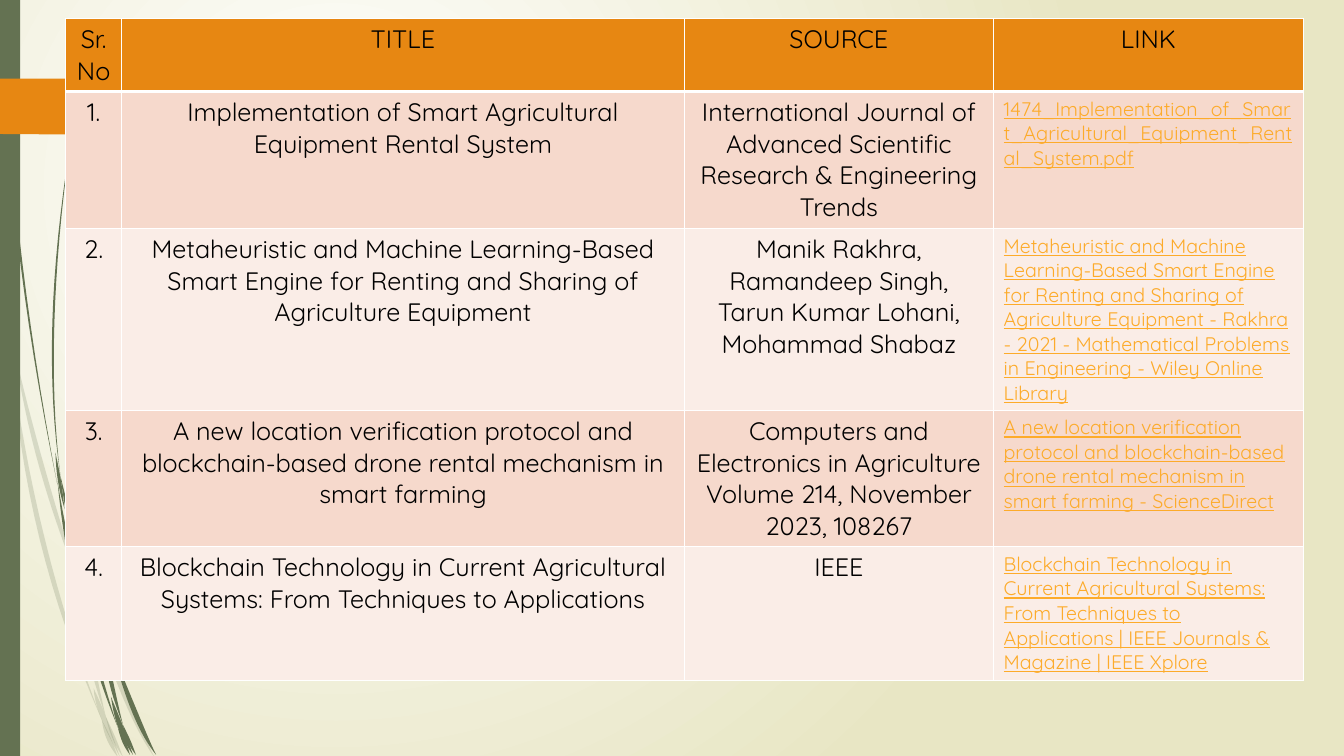
import math

import pptx
import pptx.dml.color
import pptx.enum.shapes
import pptx.enum.text
import pptx.oxml.ns
import pptx.util
from lxml import etree

COLORS = {"leaf": "647252", "marker": "E78712", "odd_row": "F6D9CC", "even_row": "FAEDE7",
          "text": "000000", "link": "FDAB2A", "border": "FFFFFF", "glow": "FFFFFF", "sand": "E8E6C4"}
FONT = "Quicksand"

HEADINGS = ("Sr. No", "TITLE", "SOURCE", "LINK")
PAPERS = [
    ("1.", "Implementation of Smart Agricultural Equipment Rental System",
     "International Journal of Advanced Scientific Research & Engineering Trends",
     "1474_Implementation_of_Smart_Agricultural_Equipment_Rental_System.pdf"),
    ("2.", "Metaheuristic and Machine Learning-Based Smart Engine for Renting and Sharing of Agriculture Equipment",
     "Manik Rakhra, Ramandeep Singh, Tarun Kumar Lohani, Mohammad Shabaz",
     "Metaheuristic and Machine Learning‐Based Smart Engine for Renting and Sharing of Agriculture Equipment"
     " - Rakhra - 2021 - Mathematical Problems in Engineering - Wiley Online Library"),
    ("3.", "A new location verification protocol and blockchain-based drone rental mechanism in smart farming",
     "Computers and Electronics in Agriculture\nVolume 214, November 2023, 108267",
     "A new location verification protocol and blockchain-based drone rental mechanism in smart farming"
     " - ScienceDirect"),
    ("4.", "Blockchain Technology in Current Agricultural Systems: From Techniques to Applications",
     "IEEE",
     "Blockchain Technology in Current Agricultural Systems: From Techniques to Applications"
     " | IEEE Journals & Magazine | IEEE Xplore"),
]
COLUMN_WIDTHS = (1.42, 14.17, 7.8, 7.8)
ROW_HEIGHTS = (1.83, 3.45, 4.58, 3.43, 3.38)
TABLE_LEFT, TABLE_TOP = 1.65, 0.46

CM_PER_UNIT = 2.54
MARKER = [(0, .78), (1.46, .78), (1.74, 1.06), (1.46, 1.34), (0, 1.33)]
PALE_BLADES = [
    ((0, 2.9), (.06, 3.2), (.11, 3.5), .04),
    ((.14, 3.45), (.42, 4.65), (.84, 5.93), .05),
    ((.88, 5.98), (1.25, 6.93), (1.53, 7.51), .05),
    ((1.05, 7.11), (1.13, 7.32), (1.22, 7.51), .03),
    ((.11, 3.5), (.42, 5.35), (1.01, 7.14), .05),
    ((.84, 5.99), (.89, 6.46), (1.05, 7.11), .05),
    ((3.12, 1.53), (1.59, 3.48), (.86, 5.9), .03),
    ((1.01, 7.14), (1.08, 7.33), (1.17, 7.51), .04),
    ((.85, 5.86), (.86, 5.98), (.88, 6.1), .04),
    ((.93, 6.83), (1.02, 7.1), (1.19, 7.51), .05),
]
DARK_BLADES = [
    ((.03, 0), (.18, 2.33), (.57, 4.81), .02),
    ((.6, 4.72), (.78, 5.5), (1.06, 6.4), .05),
    ((1.1, 6.41), (1.34, 7.07), (1.55, 7.49), .05),
    ((.57, 4.77), (.8, 6), (1.17, 7.22), .05),
    ((.7, 1.41), (.53, 3.2), (.6, 4.72), .02),
    ((1.22, 7.19), (1.28, 7.35), (1.35, 7.49), .03),
    ((.55, 4.49), (.59, 4.77), (.64, 5.05), .03),
    ((2.6, 3.44), (1.57, 4.75), (1.08, 6.37), .03),
    ((1.17, 7.22), (1.23, 7.36), (1.29, 7.49), .03),
    ((1.06, 6.45), (1.1, 6.75), (1.22, 7.19), .04),
    ((1.06, 6.31), (1.08, 6.43), (1.11, 6.56), .04),
    ((1.1, 6.91), (1.2, 7.22), (1.32, 7.49), .05),
]


def rgb(name):
    return pptx.dml.color.RGBColor.from_string(COLORS[name])


def paint(shape, color, opacity=100):
    shape.shadow.inherit = False
    shape.line.fill.background()
    shape.fill.solid()
    shape.fill.fore_color.rgb = rgb(color)
    if opacity < 100:
        tint = shape.element.spPr.find(".//" + pptx.oxml.ns.qn("a:srgbClr"))
        etree.SubElement(tint, pptx.oxml.ns.qn("a:alpha"), val=str(opacity * 1000))


def blade_outline(root, middle, tip, width, steps=16):
    left, right = [], []
    for step in range(steps + 1):
        t = step / steps
        weights = ((1 - t) * (1 - 2 * t), 4 * t * (1 - t), t * (2 * t - 1))
        slopes = (4 * t - 3, 4 - 8 * t, 4 * t - 1)
        x, y = (sum(w * p[axis] for w, p in zip(weights, (root, middle, tip))) for axis in (0, 1))
        dx, dy = (sum(s * p[axis] for s, p in zip(slopes, (root, middle, tip))) for axis in (0, 1))
        reach = width / 2 * math.sin(math.pi * t) / math.hypot(dx, dy)
        left.append((x - dy * reach, y + dx * reach))
        right.append((x + dy * reach, y - dx * reach))
    return left + right[-2:0:-1]


def draw_outline(slide, points, color, opacity=100):
    start, *rest = [(pptx.util.Cm(x * CM_PER_UNIT), pptx.util.Cm(y * CM_PER_UNIT)) for x, y in points]
    builder = slide.shapes.build_freeform(*start)
    builder.add_line_segments(rest, close=True)
    paint(builder.convert_to_shape(), color, opacity)


def write(frame, text, size=18, color="text", align=None, underline=False):
    for i, line in enumerate(text.split("\n")):
        paragraph = frame.add_paragraph() if i else frame.paragraphs[0]
        paragraph.alignment = align
        run = paragraph.add_run()
        run.text = line
        run.font.name, run.font.size, run.font.bold = FONT, pptx.util.Pt(size), False
        run.font.underline = underline
        run.font.color.rgb = rgb(color)


def set_borders(cell, **widths):
    properties = cell._tc.get_or_add_tcPr()
    for side, width in widths.items():
        line = etree.SubElement(properties, pptx.oxml.ns.qn("a:ln" + side), w=str(pptx.util.Pt(width)))
        fill = etree.SubElement(line, pptx.oxml.ns.qn("a:solidFill"))
        etree.SubElement(fill, pptx.oxml.ns.qn("a:srgbClr"), val=COLORS["border"])


def draw_background(slide):
    fill = slide.background.fill
    fill.gradient()
    for stop, color in zip(fill.gradient_stops, ("glow", "sand")):
        stop.color.rgb = rgb(color)
    gradient = slide.element.find(".//" + pptx.oxml.ns.qn("a:gradFill"))
    linear = gradient.find(pptx.oxml.ns.qn("a:lin"))
    circle = etree.Element(pptx.oxml.ns.qn("a:path"), path="circle")
    etree.SubElement(circle, pptx.oxml.ns.qn("a:fillToRect"), l="50000", t="50000", r="100000", b="100000")
    gradient.replace(linear, circle)


def draw_papers(slide):
    rows = [HEADINGS] + PAPERS
    table = slide.shapes.add_table(
        len(rows), len(HEADINGS), pptx.util.Cm(TABLE_LEFT), pptx.util.Cm(TABLE_TOP),
        pptx.util.Cm(sum(COLUMN_WIDTHS)), pptx.util.Cm(sum(ROW_HEIGHTS))).table
    for column, width in zip(table.columns, COLUMN_WIDTHS):
        column.width = pptx.util.Cm(width)
    for r, (row, height) in enumerate(zip(rows, ROW_HEIGHTS)):
        table.rows[r].height = pptx.util.Cm(height)
        band = "marker" if r == 0 else ("even_row", "odd_row")[r % 2]
        for c, text in enumerate(row):
            cell = table.cell(r, c)
            set_borders(cell, L=1, R=1, T=3 if r == 1 else 1, B=3 if r == 0 else 1)
            cell.fill.solid()
            cell.fill.fore_color.rgb = rgb(band)
            if r and c == 3:
                write(cell.text_frame, text, size=14, color="link", underline=True)
            else:
                write(cell.text_frame, text, align=pptx.enum.text.PP_ALIGN.CENTER)


def main():
    deck = pptx.Presentation()
    deck.slide_width, deck.slide_height = pptx.util.Cm(33.87), pptx.util.Cm(19.05)
    slide = deck.slides.add_slide(deck.slide_layouts[6])
    draw_background(slide)
    for blades, opacity in ((PALE_BLADES, 20), (DARK_BLADES, 100)):
        for blade in blades:
            draw_outline(slide, blade_outline(*blade), "leaf", opacity)
    stem = slide.shapes.add_shape(pptx.enum.shapes.MSO_SHAPE.RECTANGLE, 0, 0, pptx.util.Cm(0.51), deck.slide_height)
    paint(stem, "leaf")
    draw_outline(slide, MARKER, "marker")
    draw_papers(slide)
    deck.save("out.pptx")


if __name__ == "__main__":
    main()
